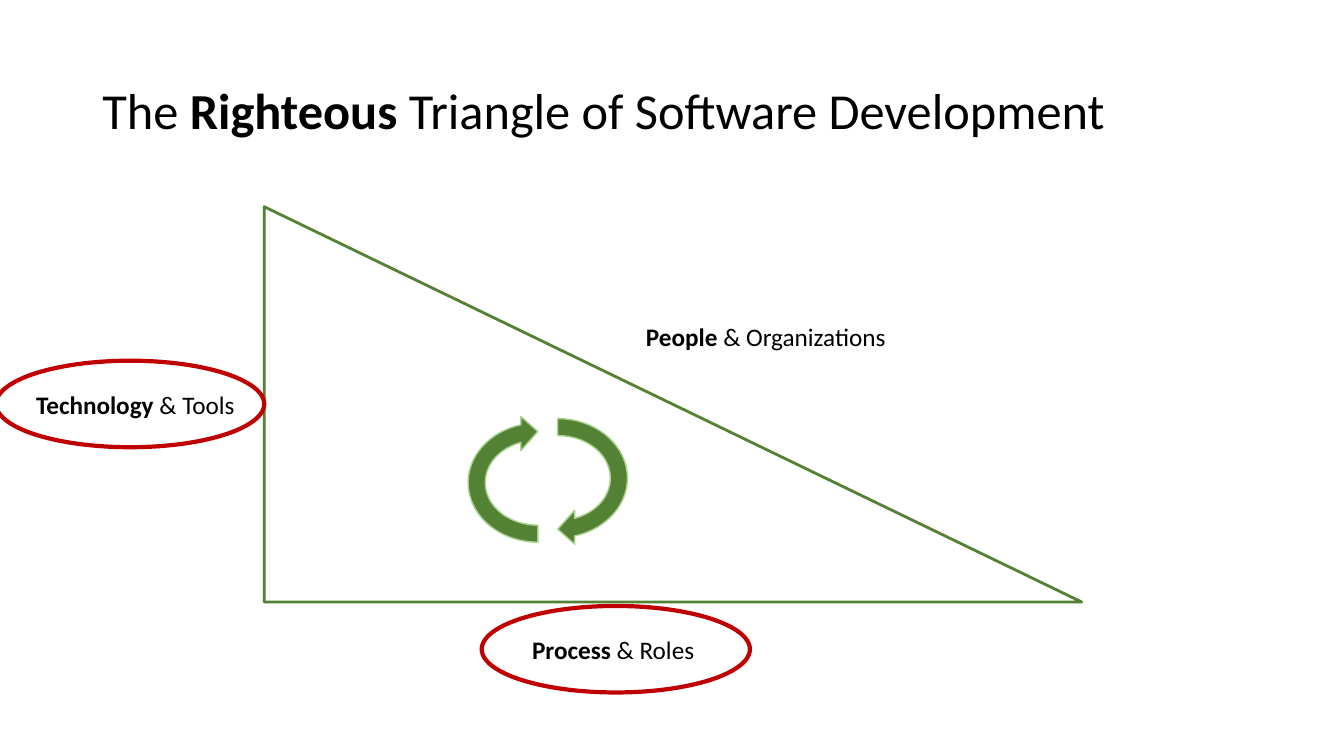
from dataclasses import dataclass

from pptx import Presentation
from pptx.dml.color import RGBColor
from pptx.enum.shapes import MSO_SHAPE
from pptx.enum.text import MSO_ANCHOR
from pptx.util import Cm, Pt

TRIANGLE = MSO_SHAPE.RIGHT_TRIANGLE
ARROW = MSO_SHAPE.CIRCULAR_ARROW
ELLIPSE = MSO_SHAPE.OVAL
TOP, MIDDLE = MSO_ANCHOR.TOP, MSO_ANCHOR.MIDDLE


@dataclass(frozen=True)
class Theme:
    font: str = "Calibri"
    title_size: int = 36
    label_size: int = 18
    text: str = "000000"
    green: str = "548235"
    light_green: str = "A9D18E"
    red: str = "C00000"


theme = Theme()
presentation = Presentation()
presentation.slide_width, presentation.slide_height = Cm(33.87), Cm(19.05)
slide = presentation.slides.add_slide(presentation.slide_layouts[6])


def add_text(runs, left, top, width, height, size=theme.label_size,
             anchor=TOP, line_spacing=1.0):
    """Add a text box from (text, bold) runs, with its place in centimetres."""
    box = slide.shapes.add_textbox(Cm(left), Cm(top), Cm(width), Cm(height))
    frame = box.text_frame
    frame.word_wrap = True
    frame.vertical_anchor = anchor
    paragraph = frame.paragraphs[0]
    paragraph.line_spacing = line_spacing
    for text, bold in runs:
        run = paragraph.add_run()
        run.text = text
        run.font.name = theme.font
        run.font.size = Pt(size)
        run.font.bold = bold
        run.font.color.rgb = RGBColor.from_string(theme.text)


def add_outline(kind, left, top, width, height, line, line_width, fill=None, rotation=0):
    shape = slide.shapes.add_shape(kind, Cm(left), Cm(top), Cm(width), Cm(height))
    shape.shadow.inherit = False
    shape.rotation = rotation
    shape.line.color.rgb = RGBColor.from_string(line)
    shape.line.width = Pt(line_width)
    if fill:
        shape.fill.solid()
        shape.fill.fore_color.rgb = RGBColor.from_string(fill)
    else:
        shape.fill.background()


add_text([("The ", False), ("Righteous", True),
          (" Triangle of Software Development", False)],
         2.33, 1.02, 29.21, 3.68, size=theme.title_size, anchor=MIDDLE, line_spacing=0.9)

add_outline(TRIANGLE, 6.66, 5.21, 20.6, 9.96, theme.green, 2)

# One label along each side of the triangle
for strong, rest, left, top in [
    ("People", " & Organizations", 16.03, 7.98),
    ("Process", " & Roles", 13.16, 15.85),
    ("Technology", " & Tools", 0.66, 9.68),
]:
    add_text([(strong, True), (rest, False)], left, top, 7.57, 1.02)

# Two half-turn arrows form the cycle
for left, top, rotation in [(12.34, 10.08, 90), (11.84, 10.19, 270)]:
    add_outline(ARROW, left, top, 3.43, 3.94, theme.light_green, 1,
                fill=theme.green, rotation=rotation)

# Rings mark the process and technology sides
for left, top in [(12.14, 15.27), (-0.1, 9.09)]:
    add_outline(ELLIPSE, left, top, 6.76, 2.18, theme.red, 3)

presentation.save("out.pptx")
